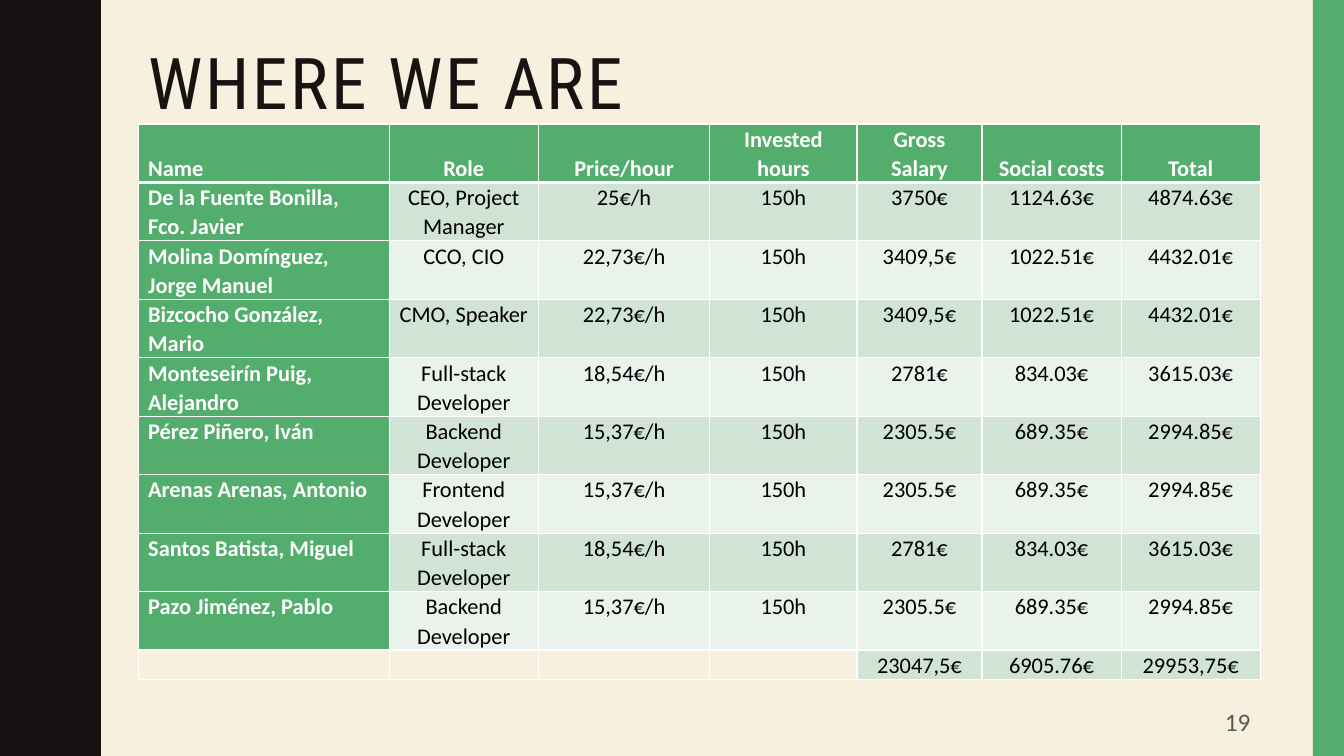
from pptx import Presentation
from pptx.util import Inches, Pt
from pptx.dml.color import RGBColor as RGB
from pptx.enum.shapes import MSO_SHAPE as Shape
from pptx.enum.text import MSO_ANCHOR as Anchor, MSO_AUTO_SIZE as Fit, PP_ALIGN as Align
from pptx.oxml import parse_xml
from pptx.oxml.ns import nsdecls

HUES = {
    "sand": "F7F0DF", "ink": "171312", "green": "53AE6E", "gray": "595959",
    "mint": "D1E3D5", "pale": "E9F2EB", "white": "FFFFFF", "black": "000000",
}


def paint(fill, hue):
    fill.solid()
    fill.fore_color.rgb = RGB.from_string(HUES[hue])


def style(para, size, face, hue, bold=False):
    for run in para.runs:
        run.font.size = Pt(size)
        run.font.name = face
        run.font.bold = bold
        run.font.color.rgb = RGB.from_string(HUES[hue])


deck = Presentation()
deck.slide_width, deck.slide_height = Inches(13.33), Inches(7.5)
slide = deck.slides.add_slide(deck.slide_layouts[5])
paint(slide.background.fill, "sand")

rise = [(0.78, 0), (0.78, 0.07), (0.79, 0.14), (0.8, 0.2), (0.81, 0.25),
        (0.83, 0.29), (0.85, 0.33), (0.87, 0.38), (0.89, 0.42), (0.91, 0.46),
        (0.93, 0.5), (0.95, 0.55), (0.96, 0.61), (0.97, 0.68)]
wave = rise + [(0.97, 0.75)] + [(x, 1.5 - y) for x, y in rise[:0:-1]]
edge = [(x, y + 1.5 * turn) for turn in range(5) for x, y in wave]
pen = slide.shapes.build_freeform(0, 0, scale=Inches(1))
pen.add_line_segments(edge + [(0.78, 7.5), (0, 7.5)], close=True)
band = pen.convert_to_shape()
strip = slide.shapes.add_shape(Shape.RECTANGLE, Inches(13.02), 0, Inches(0.31), Inches(7.5))
for shape, hue in ((band, "ink"), (strip, "green")):
    paint(shape.fill, hue)
    shape.line.fill.background()
    shape.shadow.inherit = False

title = slide.shapes.title
title.left, title.top = Inches(1.37), Inches(0.42)
title.width, title.height = Inches(11.13), Inches(1.63)
frame = title.text_frame
frame.text = "WHERE WE ARE"
frame.word_wrap = True
frame.auto_size = Fit.NONE
frame.vertical_anchor = Anchor.TOP
head = frame.paragraphs[0]
head.alignment = Align.LEFT
head.line_spacing = 0.9
style(head, 51, "Roboto Condensed", "ink")
head.runs[0].font._element.set("spc", "200")

box = slide.shapes.add_textbox(Inches(9.42), Inches(6.97), Inches(3.08), Inches(0.38))
box.text_frame.word_wrap = True
box.text_frame.vertical_anchor = Anchor.MIDDLE
box.text_frame.text = "19"
page = box.text_frame.paragraphs[0]
page.alignment = Align.RIGHT
style(page, 18, "Calibri", "gray")

rows = [
    ("Name", "Role", "Price/hour", "Invested hours", "Gross Salary", "Social costs", "Total"),
    ("De la Fuente Bonilla, Fco. Javier", "CEO, Project Manager", "25€/h", "150h", "3750€", "1124.63€", "4874.63€"),
    ("Molina Domínguez, Jorge Manuel", "CCO, CIO", "22,73€/h", "150h", "3409,5€", "1022.51€", "4432.01€"),
    ("Bizcocho González, Mario", "CMO, Speaker", "22,73€/h", "150h", "3409,5€", "1022.51€", "4432.01€"),
    ("Monteseirín Puig, Alejandro", "Full-stack Developer", "18,54€/h", "150h", "2781€", "834.03€", "3615.03€"),
    ("Pérez Piñero, Iván", "Backend Developer", "15,37€/h", "150h", "2305.5€", "689.35€", "2994.85€"),
    ("Arenas Arenas, Antonio", "Frontend Developer", "15,37€/h", "150h", "2305.5€", "689.35€", "2994.85€"),
    ("Santos Batista, Miguel", "Full-stack Developer", "18,54€/h", "150h", "2781€", "834.03€", "3615.03€"),
    ("Pazo Jiménez, Pablo", "Backend Developer", "15,37€/h", "150h", "2305.5€", "689.35€", "2994.85€"),
    ("", "", "", "", "23047,5€", "6905.76€", "29953,75€"),
]
last = len(rows) - 1
table = slide.shapes.add_table(len(rows), 7, Inches(1.37), Inches(1.23), Inches(11.13), Inches(5.53)).table
for col, width in zip(table.columns, (2.49, 1.48, 1.7, 1.46, 1.24, 1.38, 1.38)):
    col.width = Inches(width)

for r, row in enumerate(rows):
    table.rows[r].height = Inches(0.29 if r == last else 0.58)
    for c, text in enumerate(row):
        cell = table.cell(r, c)
        cell.text = text
        cell.margin_left = cell.margin_right = Inches(0.1)
        cell.margin_top = cell.margin_bottom = 0
        cell.vertical_anchor = Anchor.BOTTOM if r == 0 else Anchor.TOP
        para = cell.text_frame.paragraphs[0]
        para.alignment = Align.CENTER if c else Align.LEFT
        para.line_spacing = 1.07
        para.font.size = Pt(16)
        key = r == 0 or c == 0
        style(para, 16, "Calibri", "white" if key else "black", key)
        for side in "LRTB":
            thick = (r, side) in ((0, "B"), (1, "T"))
            cell._tc.get_or_add_tcPr().append(parse_xml(
                f'<a:ln{side} {nsdecls("a")} w="{Pt(3 if thick else 1)}"><a:solidFill>'
                f'<a:srgbClr val="{HUES["white"]}"/></a:solidFill></a:ln{side}>'))
        if not text:
            cell.fill.background()
        elif key:
            paint(cell.fill, "green")
        else:
            paint(cell.fill, "mint" if r % 2 else "pale")

for cell in list(table.rows[last].cells)[4:]:
    paint(cell.fill, "mint")

deck.save("out.pptx")
